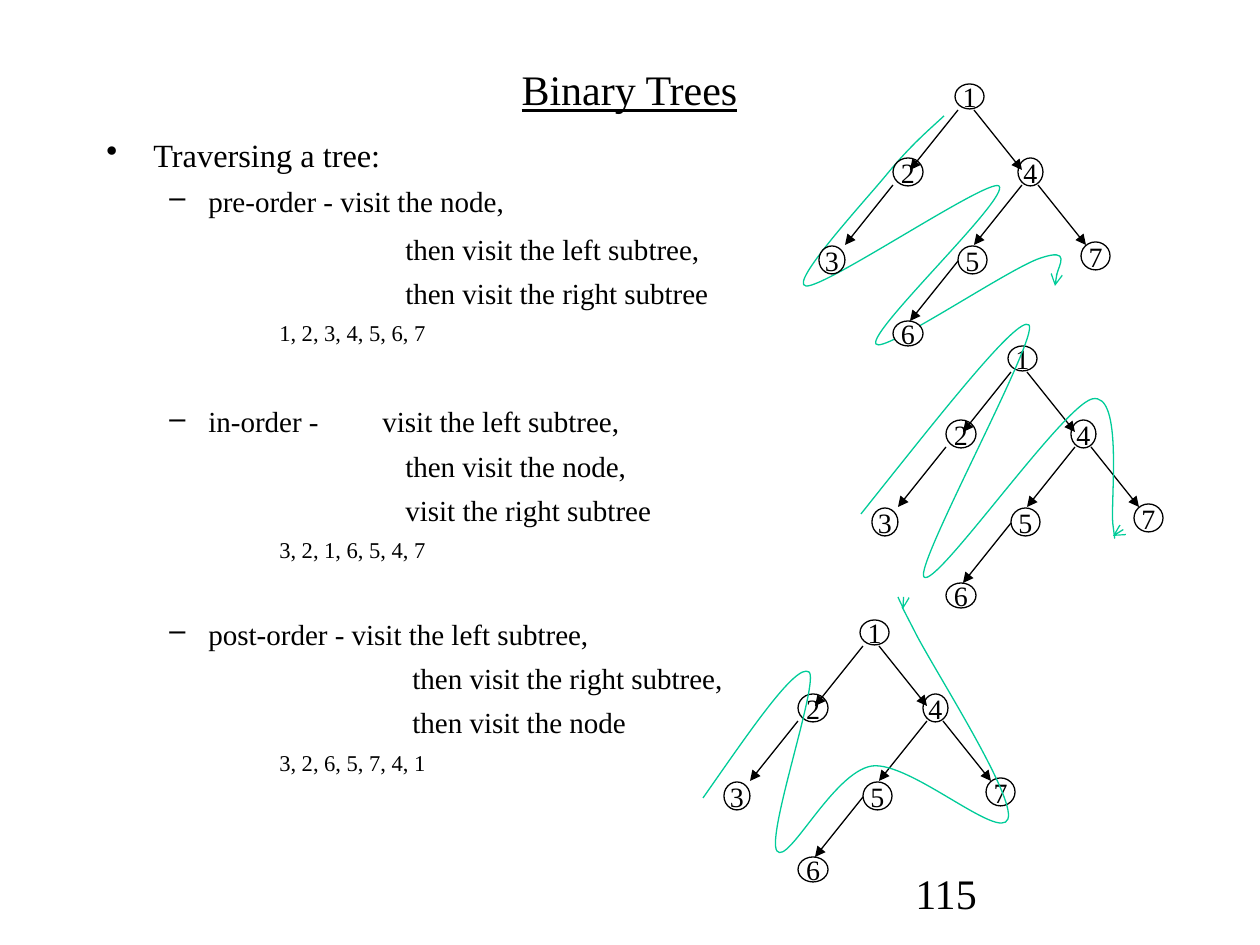
from lxml.etree import SubElement
from pptx import Presentation
from pptx.dml.color import RGBColor as Rgb
from pptx.enum.shapes import MSO_CONNECTOR as Link, MSO_SHAPE as Kind
from pptx.enum.text import MSO_ANCHOR as Anchor, MSO_AUTO_SIZE as Fit, PP_ALIGN as Align
from pptx.oxml.ns import qn
from pptx.util import Emu, Pt

SCALE = 914400 / 126
FACE = "Times New Roman"
HUES = {"ink": "000000", "node": "FFFFFF", "walk": "00CC99"}

NODES = [
    ("1", 955, 84, 29, 25),
    ("2", 893, 158, 30, 28),
    ("4", 1018, 158, 25, 28),
    ("3", 819, 246, 26, 28),
    ("5", 958, 246, 29, 28),
    ("6", 893, 321, 30, 25),
    ("7", 1081, 242, 29, 28),
]
STEP = (48, 60)
EDGES = [
    (958, 110, -1), (893, 185, -1), (974, 110, 1),
    (1038, 185, 1), (1022, 185, -1), (958, 261, -1),
]
TREES = [(0, 0), (53, 262), (-95, 536)]

PRE = [
    (944, 116), (929, 130), (912, 144), (888, 173),
    (866, 200), (788, 284), (806, 286),
    (824, 289), (988, 178), (999, 186),
    (1011, 197), (868, 331), (876, 344),
    (882, 355), (1011, 267), (1041, 258),
    (1071, 248), (1052, 282), (1055, 286),
]
MID = [
    (861, 514), (940, 415), (1018, 315), (1029, 325),
    (1040, 336), (914, 566), (924, 577),
    (935, 590), (1061, 408), (1092, 399),
    (1124, 391), (1110, 503), (1113, 525),
    (1116, 548), (1115, 542), (1113, 536),
]
POST = [
    (703, 798), (750, 731), (796, 663), (809, 672),
    (820, 680), (766, 835), (777, 851),
    (788, 866), (833, 772), (872, 766),
    (910, 761), (1000, 842), (1008, 819),
    (1016, 796), (931, 665), (914, 630),
    (896, 595), (900, 602), (903, 609),
]

LEVELS = {
    "head": (47, -47, 18.5, "•"),
    "item": (102, -39, 16.6, "–"),
    "then": (299, 0, 16.6, None),
    "last": (306, 0, 16.6, None),
    "list": (173, 0, 12.9, None),
}
LINES = [
    ("head", "Traversing a tree:", 0),
    ("item", "pre-order - visit the node,", 5.5),
    ("then", "then visit the left subtree,", 7.2),
    ("then", "then visit the right subtree", 5.3),
    ("list", "1, 2, 3, 4, 5, 6, 7", 5.2),
    ("item", "in-order - \tvisit the left subtree,", 33),
    ("then", "then visit the node,", 5.3),
    ("then", "visit the right subtree", 5.3),
    ("list", "3, 2, 1, 6, 5, 4, 7", 5.2),
    ("item", "post-order - visit the left subtree,", 30.4),
    ("last", "then visit the right subtree,", 5.3),
    ("last", "then visit the node", 5.3),
    ("list", "3, 2, 6, 5, 7, 4, 1", 5.2),
]


def px(*vals):
    return [Emu(round(val * SCALE)) for val in vals]


def hue(name):
    return Rgb.from_string(HUES[name])


def style(para, size):
    font = para.font
    font.name, font.size = FACE, Pt(size)
    font.color.rgb = hue("ink")


def stroke(shape, name, tip=None):
    shape.line.color.rgb = hue(name)
    shape.line.width = Pt(0.75)
    if tip:
        SubElement(shape.line._get_or_add_ln(), qn("a:tailEnd"), type=tip)


def add_title(slide):
    title = slide.shapes.title
    title.left, title.top, title.width, title.height = px(94, 10, 1071, 158)
    title.text_frame.text = "Binary Trees"
    title.text_frame.vertical_anchor = Anchor.MIDDLE
    para = title.text_frame.paragraphs[0]
    para.alignment = Align.CENTER
    style(para, 24)
    para.font.underline = True


def add_box(slide, *place):
    frame = slide.shapes.add_textbox(*px(*place)).text_frame
    frame.word_wrap = True
    return frame


def add_line(para, level, text, gap):
    left, hang, size, mark = LEVELS[level]
    para.text = text
    para.space_before = Pt(gap)
    props = para._p.get_or_add_pPr()
    props.set("marL", str(px(left)[0]))
    props.set("indent", str(px(hang)[0]))
    if mark:
        SubElement(props, qn("a:buChar"), char=mark)
    if "\t" in text:
        tabs = SubElement(props, qn("a:tabLst"))
        SubElement(tabs, qn("a:tab"), pos=str(px(276)[0]), algn="l")
    style(para, size)


def add_body(slide):
    frame = add_box(slide, 94, 126, 1071, 588)
    frame.margin_top = px(9)[0]
    for num, line in enumerate(LINES):
        para = frame.add_paragraph() if num else frame.paragraphs[0]
        add_line(para, *line)


def add_node(group, text, *place):
    node = group.shapes.add_shape(Kind.OVAL, *px(*place))
    node.shadow.inherit = False
    node.fill.solid()
    node.fill.fore_color.rgb = hue("node")
    stroke(node, "ink")
    frame = node.text_frame
    frame.text = text
    frame.word_wrap = False
    frame.auto_size = Fit.NONE
    frame.vertical_anchor = Anchor.MIDDLE
    frame.paragraphs[0].alignment = Align.CENTER
    style(frame.paragraphs[0], 16)


def add_edge(group, x, y, side):
    ends = px(x, y, x + side * STEP[0], y + STEP[1])
    edge = group.shapes.add_connector(Link.STRAIGHT, *ends)
    stroke(edge, "ink", "triangle")
    SubElement(edge._element.spPr, qn("a:effectLst"))


def add_tree(slide, dx, dy):
    group = slide.shapes.add_group_shape()
    for text, x, y, wide, high in NODES[:-1]:
        add_node(group, text, x + dx, y + dy, wide, high)
    for x, y, side in EDGES:
        add_edge(group, x + dx, y + dy, side)
    text, x, y, wide, high = NODES[-1]
    add_node(group, text, x + dx, y + dy, wide, high)


def add_walk(slide, dots):
    spots = [px(*dot) for dot in dots]
    form = slide.shapes.build_freeform(*spots[0])
    form.add_line_segments(spots[1:], close=False)
    walk = form.convert_to_shape()
    path = walk._element.find(".//" + qn("a:path"))
    legs = path.findall(qn("a:lnTo"))
    for at in range(0, len(legs), 3):
        curve = SubElement(path, qn("a:cubicBezTo"))
        for leg in legs[at:at + 3]:
            curve.append(leg[0])
            path.remove(leg)
    walk.shadow.inherit = False
    walk.fill.background()
    stroke(walk, "walk", "arrow")


def add_page(slide):
    para = add_box(slide, 903, 861, 262, 63).paragraphs[0]
    para.text = "115"
    style(para, 24)


def main():
    deck = Presentation()
    deck.slide_width, deck.slide_height = px(1260, 945)
    slide = deck.slides.add_slide(deck.slide_layouts[5])
    add_title(slide)
    add_body(slide)
    add_walk(slide, PRE)
    for shift in TREES:
        add_tree(slide, *shift)
    add_walk(slide, MID)
    add_walk(slide, POST)
    add_page(slide)
    deck.save("out.pptx")


if __name__ == "__main__":
    main()
